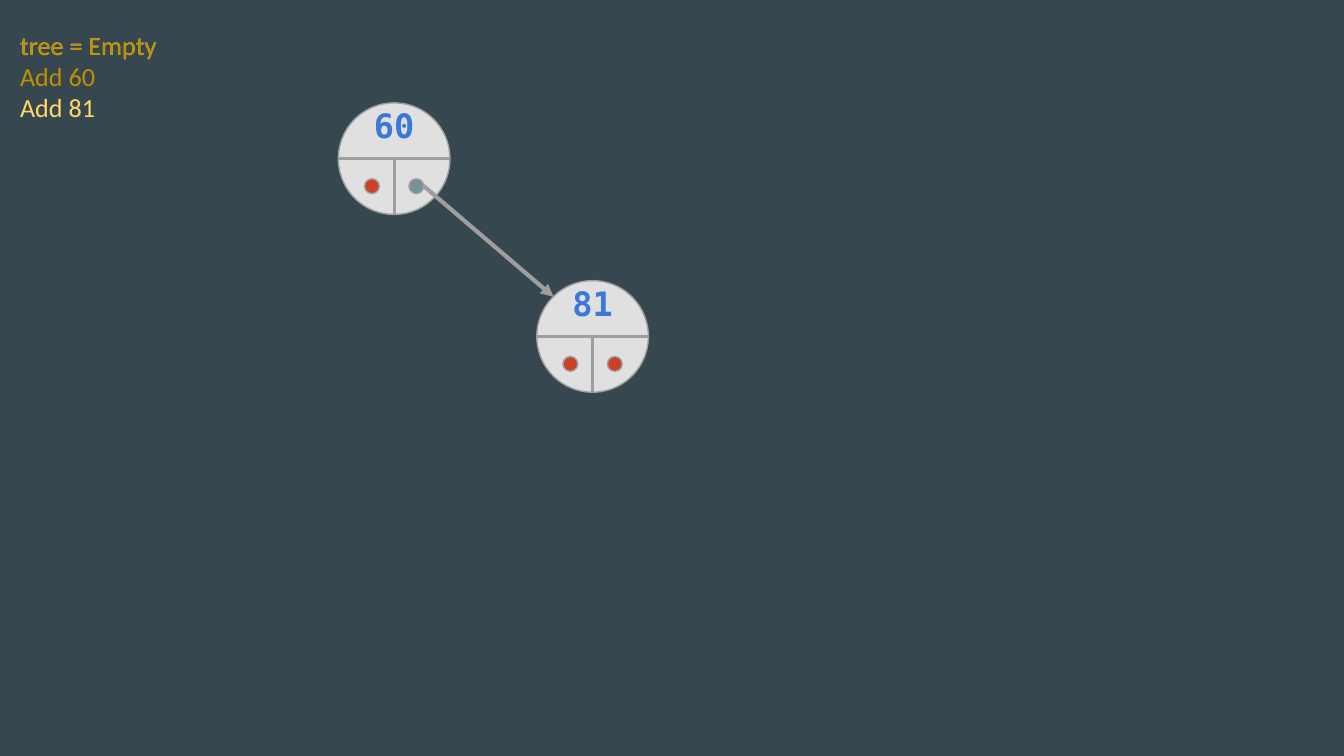
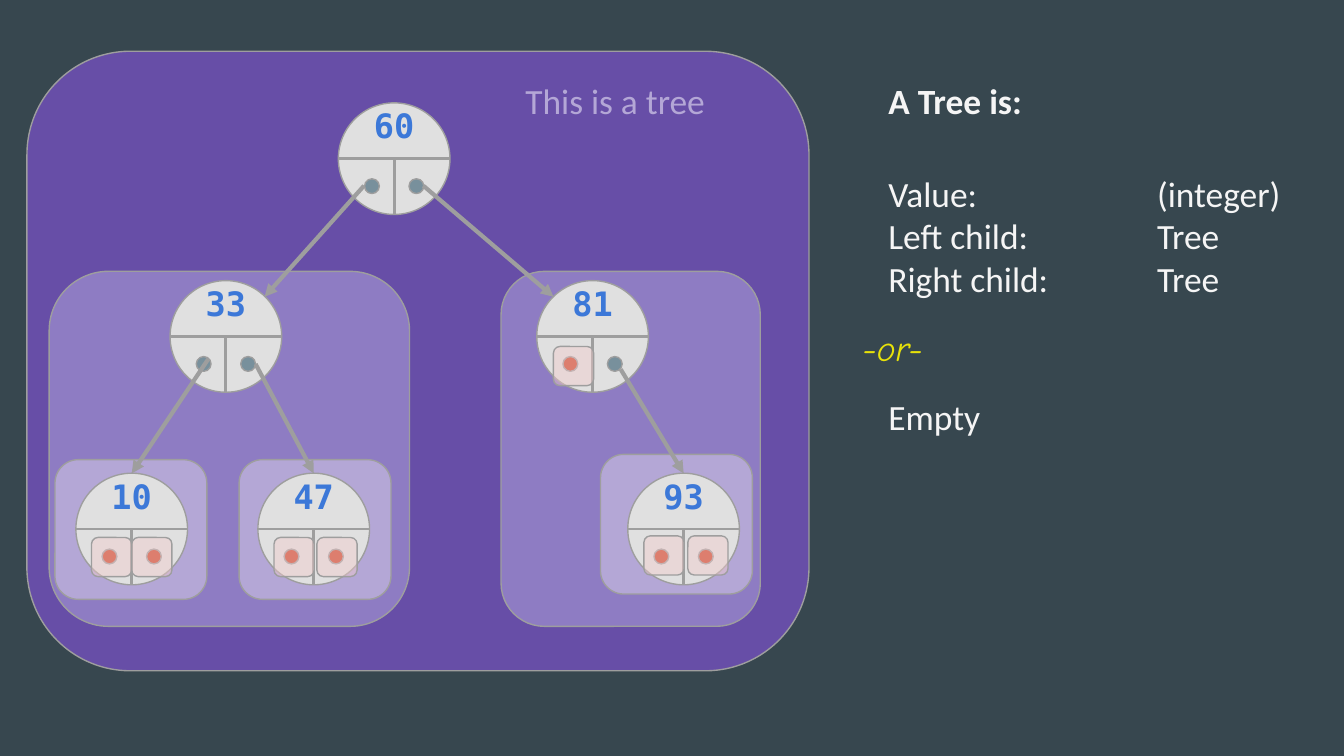
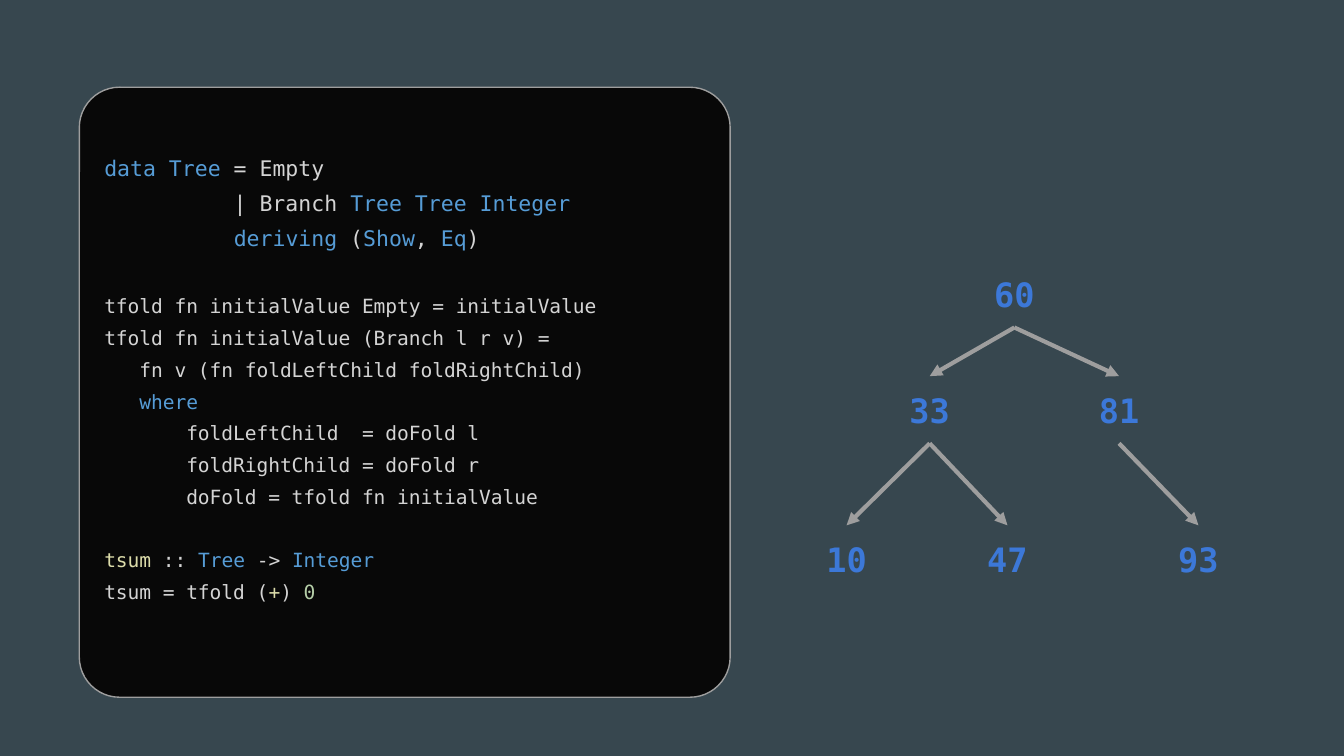
from lxml import etree
from pptx import Presentation
from pptx.dml.color import RGBColor
from pptx.enum import shapes as kinds, text as modes
from pptx.oxml.ns import qn
from pptx.util import Cm, Pt

SLATE = RGBColor(0x37, 0x47, 0x4F)
GREY = RGBColor(0x9E, 0x9E, 0x9E)
PALE = RGBColor(0xE0, 0xE0, 0xE0)
RED = RGBColor(0xCC, 0x41, 0x25)
STEEL = RGBColor(0x78, 0x90, 0x9C)
BLUE = RGBColor(0x3C, 0x78, 0xD8)
PINK = RGBColor(0xF4, 0xCC, 0xCC)
DEEP = RGBColor(0x67, 0x4E, 0xA7)
MID = RGBColor(0x8E, 0x7C, 0xC3)
LILAC = RGBColor(0xB4, 0xA7, 0xD6)
GOLD = RGBColor(0xFF, 0xD9, 0x66)
OCHRE = RGBColor(0xBF, 0x90, 0x00)
WHITE = RGBColor(0xF5, 0xF5, 0xF5)
LIME = RGBColor(0xE8, 0xE2, 0x09)
BLACK = RGBColor(0x08, 0x08, 0x08)
WORD = RGBColor(0x56, 0x9C, 0xD6)
PLAIN = RGBColor(0xD4, 0xD4, 0xD4)
SAND = RGBColor(0xDC, 0xDC, 0xAA)
GREEN = RGBColor(0xB5, 0xCE, 0xA8)

SANS, COMIC, MONO = "Calibri", "Comic Neue", "DejaVu Sans Mono"
OVAL = kinds.MSO_SHAPE.OVAL
ROUND = kinds.MSO_SHAPE.ROUNDED_RECTANGLE

# Lengths in centimetres
NODE, DOT, INSET = 2.11, 0.28, 0.25
LABEL = 1.27  # height of a number's box
SPOTS = {60: (7.45, 3), 33: (4.27, 6.36), 81: (11.2, 6.36),
         10: (2.49, 10), 47: (5.93, 10), 93: (12.92, 10)}
BARE = {60: (19.17, 6.19), 33: (17.57, 8.38), 81: (21.15, 8.38),
        10: (16, 11.2), 47: (19.04, 11.2), 93: (22.65, 11.2)}
LINKS = [(60, 33), (33, 10), (33, 47), (60, 81), (81, 93)]


def draw(pool, kind, box, fill, bend=0.167):
    shape = pool.add_shape(kind, *map(Cm, box))
    shape.shadow.inherit = False
    shape.fill.solid()
    shape.fill.fore_color.rgb = fill
    shape.line.color.rgb = GREY
    shape.line.width = Pt(0.75)
    if kind == ROUND:
        shape.adjustments[0] = bend
    return shape


def join(pool, ends, width, head=False):
    line = pool.add_connector(kinds.MSO_CONNECTOR.STRAIGHT, *map(Cm, ends))
    line.line.color.rgb = GREY
    line.line.width = Pt(width)
    if head:
        etree.SubElement(line.line._get_or_add_ln(), qn("a:tailEnd"), type="triangle")
    etree.SubElement(line._element.spPr, qn("a:effectLst"))


deck = Presentation()
deck.slide_width, deck.slide_height = Cm(25.4), Cm(14.29)
back = deck.slide_master.background.fill
back.solid()
back.fore_color.rgb = SLATE
grow, nest, fold = [deck.slides.add_slide(deck.slide_layouts[6]).shapes for _ in range(3)]

# Nested trees behind the nodes of slide 2
for box, fill in [
    ((0.51, 0.97, 14.78, 11.71), DEEP),
    ((9.47, 5.13, 4.9, 6.71), MID),
    ((0.93, 5.13, 6.81, 6.71), MID),
    ((4.52, 8.69, 2.87, 2.64), LILAC),
    ((1.04, 8.69, 2.87, 2.64), LILAC),
    ((11.35, 8.59, 2.87, 2.64), LILAC),
]:
    draw(nest, ROUND, box, fill)

# Nodes: a steel dot holds a child, a red one is empty
texts = []
for pool, kids in [
    (grow, {60: (RED, STEEL), 81: (RED, RED)}),
    (nest, {60: (STEEL, STEEL), 33: (STEEL, STEEL), 81: (RED, STEEL),
            10: (RED, RED), 47: (RED, RED), 93: (RED, RED)}),
]:
    for num, dots in kids.items():
        x, y = SPOTS[num]
        half = NODE / 2
        node = pool.add_group_shape().shapes
        draw(node, OVAL, (x - half, y - half, NODE, NODE), PALE)
        join(node, (x - half, y, x + half, y), 1.5)
        join(node, (x, y + half, x, y), 1.5)
        for side, fill in zip((-0.42, 0.42), dots):
            draw(node, OVAL, (x + side - DOT / 2, y + 0.52 - DOT / 2, DOT, DOT), fill)
        texts.append((pool, (x - half, y - LABEL, NODE, LABEL), MONO, 18, True, [(str(num), BLUE)]))

# Empty trees of slide 2
for x, y in [(10.46, 6.55), (1.73, 10.16), (2.49, 10.16), (5.18, 10.16),
             (5.99, 10.16), (12.17, 10.13), (13, 10.13)]:
    well = draw(nest, ROUND, (x, y, 0.76, 0.74), PINK)
    tint = well._element.spPr.find(".//" + qn("a:srgbClr"))
    etree.SubElement(tint, qn("a:alpha"), val="44000")

# Code panel of slide 3
CODE = [
    (11.5, 0, [
        [("data Tree", WORD), (" = Empty", PLAIN)],
        [("          | Branch ", PLAIN), ("Tree Tree Integer", WORD)],
        [("          ", PLAIN), ("deriving", WORD), (" (", PLAIN), ("Show", WORD),
         (", ", PLAIN), ("Eq", WORD), (")", PLAIN)],
    ]),
    (10.5, 18.3, [
        [("tfold fn initialValue Empty = initialValue", PLAIN)],
        [("tfold fn initialValue (Branch l r v) =", PLAIN)],
        [("   fn v (fn foldLeftChild foldRightChild)", PLAIN)],
        [("   ", PLAIN), ("where", WORD)],
        [("       foldLeftChild  = doFold l", PLAIN)],
        [("       foldRightChild = doFold r", PLAIN)],
        [("       doFold = tfold fn initialValue", PLAIN)],
    ]),
    (10.5, 16.6, [
        [("tsum", SAND), (" :: ", PLAIN), ("Tree", WORD), (" -> ", PLAIN), ("Integer", WORD)],
        [("tsum = tfold (", PLAIN), ("+", SAND), (") ", PLAIN), ("0", GREEN)],
    ]),
]
frame = draw(fold, ROUND, (1.5, 1.65, 12.3, 11.53), BLACK, 0.066).text_frame
frame.word_wrap = True
frame.vertical_anchor = modes.MSO_ANCHOR.TOP
frame.margin_left = frame.margin_right = frame.margin_bottom = Cm(INSET)
frame.margin_top = Cm(0.89)
para = frame.paragraphs[0]
for size, gap, lines in CODE:
    for row, runs in enumerate(lines):
        if para.runs:
            para = frame.add_paragraph()
        para.alignment = modes.PP_ALIGN.LEFT
        para.line_spacing = 1.36
        if gap and row == 0:
            para.space_before = Pt(gap)
        for words, tone in runs:
            run = para.add_run()
            run.text = words
            run.font.name, run.font.size = MONO, Pt(size)
            run.font.color.rgb = tone

# Arrows from parent to child
right = (8, 3.51, 10.46, 5.61)
join(grow, right, 2.25, True)
for ends in [(6.88, 3.51, 5, 5.61), (3.94, 6.78, 2.49, 8.95), (4.83, 6.88, 5.93, 8.95),
             right, (11.73, 6.98, 12.92, 8.95)]:
    join(nest, ends, 2.25, True)
for top, kid in LINKS:
    x, y = BARE[kid]
    join(fold, (*BARE[top], x, y - LABEL), 2.25, True)
for num, (x, y) in BARE.items():
    texts.append((fold, (x - NODE / 2, y - LABEL, NODE, LABEL), MONO, 18, True, [(str(num), BLUE)]))

# Notes, then all the text boxes
texts += [
    (grow, (0.13, 0.3, 4.55, 1.7), SANS, 14, False, [("tree = Empty", GOLD)]),
    (grow, (0.13, 0.3, 4.55, 2.9), SANS, 14, False,
     [("tree = Empty", OCHRE), ("Add 60", OCHRE), ("Add 81", GOLD)]),
    (nest, (9.68, 1.24, 5.31, 1.32), SANS, 19, False, [("This is a tree", LILAC)]),
    (nest, (16.54, 1.24, 8.15, 1.32), SANS, 19, True, [("A Tree is:", WHITE)]),
    (nest, (16.54, 3, 8.15, 2.95), SANS, 19, False,
     [("Value:\t(integer)", WHITE), ("Left child:\tTree", WHITE), ("Right child:\tTree", WHITE)]),
    (nest, (16.54, 7.21, 8.15, 1.32), SANS, 19, False, [("Empty", WHITE)]),
    (nest, (16.05, 5.92, 5.49, 1.32), COMIC, 19, False, [("-or-", LIME)]),
]
for pool, box, face, size, bold, lines in texts:
    frame = pool.add_textbox(*map(Cm, box)).text_frame
    frame.word_wrap = True
    frame.margin_left = frame.margin_right = Cm(INSET)
    frame.margin_top = frame.margin_bottom = Cm(INSET)
    if face == MONO:
        frame.vertical_anchor = modes.MSO_ANCHOR.BOTTOM
    for row, (words, tone) in enumerate(lines):
        para = frame.add_paragraph() if row else frame.paragraphs[0]
        if "\t" in words:
            tabs = etree.SubElement(para._p.get_or_add_pPr(), qn("a:tabLst"))
            etree.SubElement(tabs, qn("a:tab"), pos=str(Cm(5.08)), algn="l")
        if face == MONO:
            para.alignment = modes.PP_ALIGN.CENTER
        run = para.add_run()
        run.text = words
        run.font.name, run.font.size = face, Pt(size)
        run.font.bold, run.font.italic = bold, face == COMIC
        run.font.color.rgb = tone

deck.save("out.pptx")
